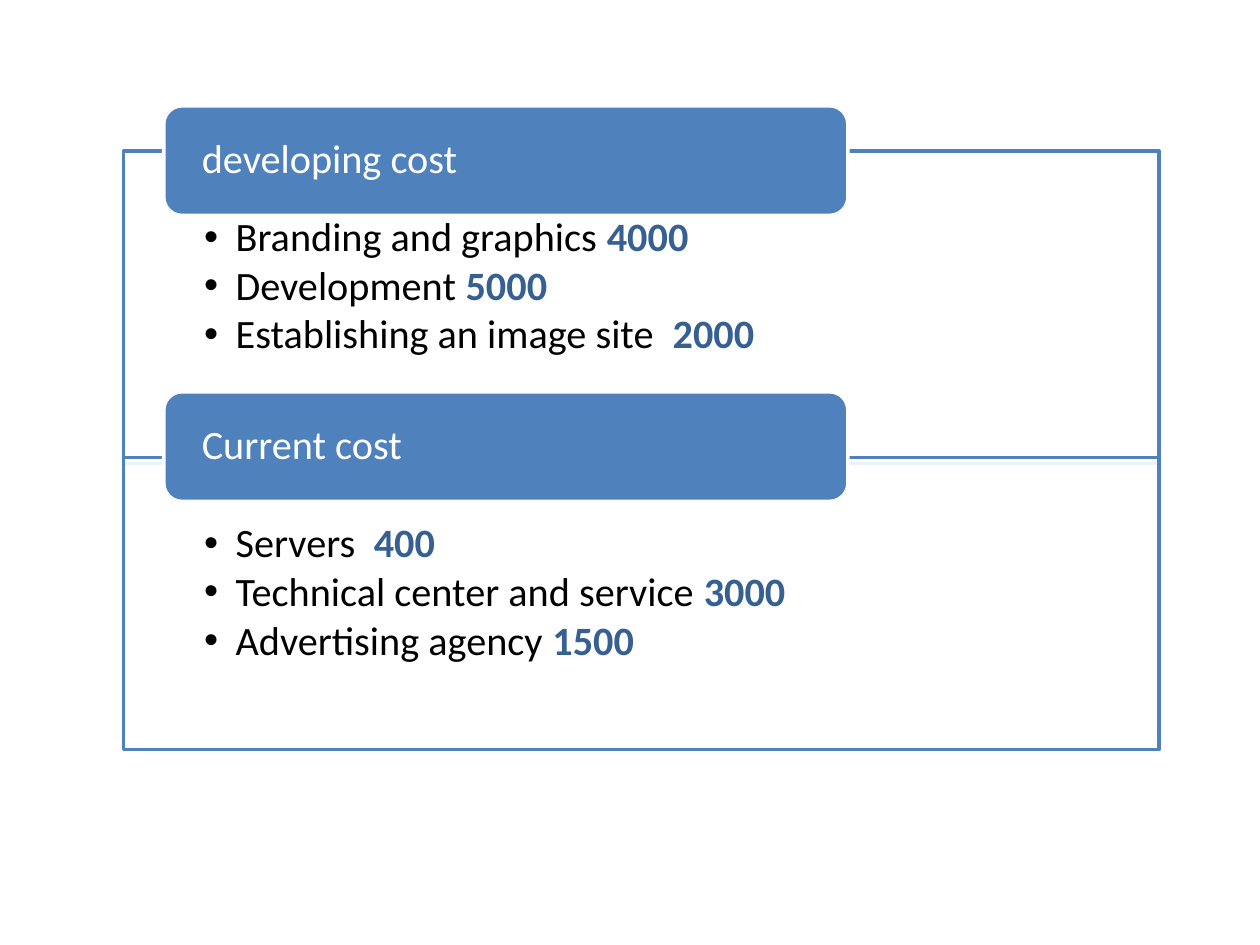
from dataclasses import dataclass

from lxml.etree import SubElement
from pptx import Presentation
from pptx.dml.color import RGBColor
from pptx.enum.shapes import MSO_SHAPE as Shape
from pptx.enum.text import MSO_ANCHOR as Anchor, PP_ALIGN as Align
from pptx.oxml.ns import qn
from pptx.util import Inches, Pt

BLUE, NAVY, WHITE, BLACK = "4F81BD", "376092", "FFFFFF", "000000"


@dataclass
class Section:
    title: str
    costs: list[tuple[str, str]]
    head: float
    top: float
    height: float


SECTIONS = [
    Section("developing cost", [
        ("Branding and graphics ", "4000"),
        ("Development ", "5000"),
        ("Establishing an image site  ", "2000"),
    ], 0.84, 1.2, 2.48),
    Section("Current cost", [
        ("Servers  ", "400"),
        ("Technical center and service ", "3000"),
        ("Advertising agency ", "1500"),
    ], 3.11, 3.63, 2.32),
]


def rgb(color: str) -> RGBColor:
    return RGBColor.from_string(color)


def add_box(slide, kind, at: tuple, fill: str, line: str, pads: tuple):
    """Add a filled shape with text padding given as left, top, right, bottom."""
    box = slide.shapes.add_shape(kind, *map(Inches, at))
    box.shadow.inherit = False
    box.fill.solid()
    box.fill.fore_color.rgb = rgb(fill)
    box.line.color.rgb = rgb(line)
    box.line.width = Pt(2)
    frame = box.text_frame
    frame.word_wrap = True
    (frame.margin_left, frame.margin_top,
     frame.margin_right, frame.margin_bottom) = map(Inches, pads)
    return box


def style(run, color: str, bold: bool = False) -> None:
    font = run.font
    font.name, font.size, font.bold = "Calibri", Pt(23), bold
    font.color.rgb = rgb(color)


def set_bullet(para) -> None:
    props = para._p.get_or_add_pPr()
    props.set("marL", str(Inches(0.25)))
    props.set("indent", str(-Inches(0.25)))
    SubElement(props, qn("a:buFont")).set("typeface", "Arial")
    SubElement(props, qn("a:buChar")).set("char", "•")


def add_panel(slide, part: Section) -> None:
    box = add_box(slide, Shape.RECTANGLE, (0.98, part.top, 8.22, part.height),
                  WHITE, BLUE, (0.64, 0.52, 0.64, 0.18))
    tint = box.fill._xPr.find(".//" + qn("a:srgbClr"))
    SubElement(tint, qn("a:alpha")).set("val", "90000")
    frame = box.text_frame
    frame.vertical_anchor = Anchor.TOP
    for i, (label, cost) in enumerate(part.costs):
        para = frame.add_paragraph() if i else frame.paragraphs[0]
        para.level = 1
        para.alignment = Align.LEFT
        para.line_spacing = 0.9
        para.space_after = Pt(3)
        set_bullet(para)
        for text, color, bold in ((label, BLACK, False), (cost, NAVY, True)):
            run = para.add_run()
            run.text = text
            style(run, color, bold)


def add_head(slide, part: Section) -> None:
    box = add_box(slide, Shape.ROUNDED_RECTANGLE, (1.3, part.head, 5.43, 0.87),
                  BLUE, WHITE, (0.26, 0, 0.26, 0))
    frame = box.text_frame
    frame.vertical_anchor = Anchor.MIDDLE
    frame.text = part.title
    para = frame.paragraphs[0]
    para.alignment = Align.LEFT
    para.line_spacing = 0.9
    style(para.runs[0], WHITE)


def main() -> None:
    deck = Presentation()
    deck.slide_width, deck.slide_height = Inches(10), Inches(7.5)
    slide = deck.slides.add_slide(deck.slide_layouts[6])
    for part in SECTIONS:
        add_panel(slide, part)
        add_head(slide, part)
    deck.save("out.pptx")


if __name__ == "__main__":
    main()
